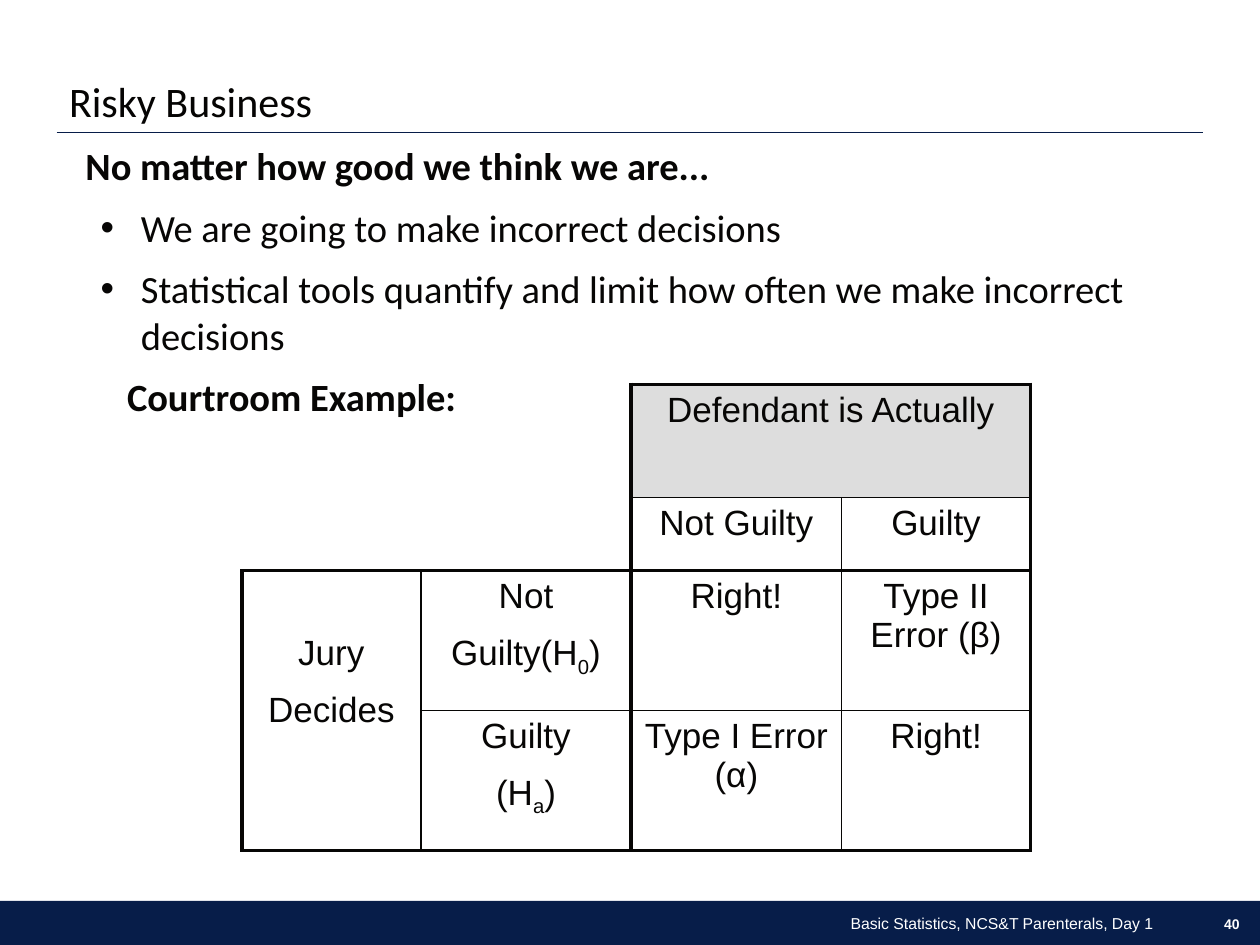
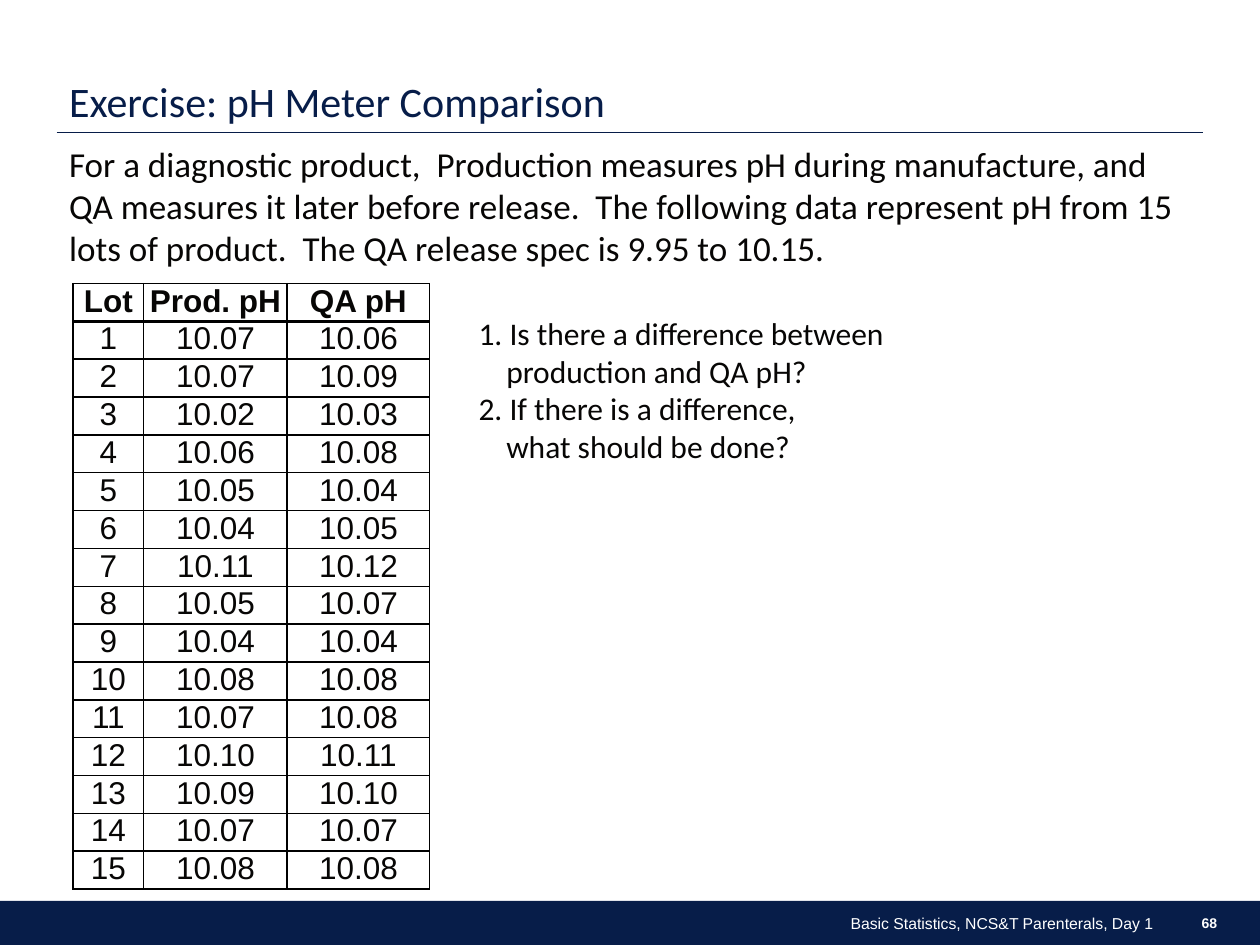
from lxml import etree
from pptx import Presentation
from pptx.dml.color import RGBColor
from pptx.enum.shapes import MSO_CONNECTOR, MSO_SHAPE
from pptx.enum.text import MSO_ANCHOR, PP_ALIGN
from pptx.oxml.ns import qn
from pptx.util import Inches, Pt

LEFT, CENTER, RIGHT = PP_ALIGN.LEFT, PP_ALIGN.CENTER, PP_ALIGN.RIGHT
TOP, MIDDLE, BOTTOM = MSO_ANCHOR.TOP, MSO_ANCHOR.MIDDLE, MSO_ANCHOR.BOTTOM
RECTANGLE, STRAIGHT = MSO_SHAPE.RECTANGLE, MSO_CONNECTOR.STRAIGHT

COLUMNS, ROWS = 100, 75  # the slide as a grid of tenths of an inch
NAVY, INK, BLACK, WHITE, GRAY = "071D49", "070605", "000000", "FFFFFF", "DDDDDD"
NO_STYLE = "{2D5ABB26-0587-4C30-8999-92F81FD0307C}"
FOOTER = "Basic Statistics, NCS&T Parenterals, Day 1"

TITLE = {"name": "Calibri", "size": 24}
BODY = {"name": "Calibri", "size": 22, "color": INK}
COURT = {"name": "Arial", "size": 20, "color": INK}
LOTS = {"name": "Arial", "size": 18, "color": INK}
SMALL = {"name": "Arial", "size": 9, "color": WHITE}

PRODUCTION_PH = ["10.07", "10.07", "10.02", "10.06", "10.05", "10.04", "10.11", "10.05",
                 "10.04", "10.08", "10.07", "10.10", "10.09", "10.07", "10.08"]
QA_PH = ["10.06", "10.09", "10.03", "10.08", "10.04", "10.05", "10.12", "10.07",
         "10.04", "10.08", "10.08", "10.11", "10.10", "10.07", "10.08"]


def grid(*steps):
    return [Inches(step / 10) for step in steps]


def rgb(color):
    return RGBColor.from_string(color)


def style_font(font, look):
    for key, value in look.items():
        if key == "color":
            font.color.rgb = rgb(value)
        else:
            setattr(font, key, Pt(value) if key == "size" else value)


def add_span(para, text, look, subscript=False):
    """Add text to a paragraph, with a line break for each newline."""
    for number, line in enumerate(text.split("\n")):
        if number:
            para.add_line_break()
        span = para.add_run()
        span.text = line
        style_font(span.font, look)
        if subscript:
            span.font._element.set("baseline", "-25000")


def indent(para, margin, first=0, bullet=None):
    properties = para._p.get_or_add_pPr()
    left, hang = grid(margin, first)
    properties.set("marL", str(left))
    properties.set("indent", str(hang))
    if bullet:
        etree.SubElement(properties, qn("a:buFont")).set("typeface", "Arial")
        etree.SubElement(properties, qn("a:buChar")).set("char", bullet)


def write(frame, paragraphs, look, align=LEFT, **spacing):
    """Fill a frame; "_" in front of a character lowers it."""
    for number, text in enumerate(paragraphs):
        para = frame.add_paragraph() if number else frame.paragraphs[0]
        para.alignment = align
        for key, value in spacing.items():
            setattr(para, key, value)
        start, *lowered = text.split("_")
        add_span(para, start, look)
        for part in lowered:
            add_span(para, part[0], look, subscript=True)
            add_span(para, part[1:], look)
    return frame.paragraphs


def add_frame(page, place, anchor=TOP, **margins):
    frame = page.shapes.add_textbox(*grid(*place)).text_frame
    frame.word_wrap = True
    frame.vertical_anchor = anchor
    for key, value in margins.items():
        setattr(frame, key, value)
    return frame


def add_page(deck, title, color, number, number_place):
    """Add a slide with title, rule and footer band."""
    page = deck.slides.add_slide(deck.slide_layouts[6])
    band = page.shapes.add_shape(RECTANGLE, *grid(0, 71.5, COLUMNS, 3.5))
    band.shadow.inherit = False
    band.fill.solid()
    band.fill.fore_color.rgb = rgb(NAVY)
    band.line.fill.background()

    rule = page.shapes.add_connector(STRAIGHT, *grid(4.5, 10.5, 95.5, 10.5))
    rule.line.color.rgb = rgb(NAVY)
    rule.line.width = Pt(0.75)
    etree.SubElement(rule._element.spPr, qn("a:effectLst"))

    write(add_frame(page, (4.5, 2.5, 91, 8), BOTTOM), [title],
          {**TITLE, "color": color}, line_spacing=0.9)
    write(add_frame(page, (32.5, 72.3, 60, 2), MIDDLE), [FOOTER], SMALL, RIGHT)
    write(add_frame(page, number_place, MIDDLE, margin_right=0), [number],
          {**SMALL, "size": 8, "bold": True}, RIGHT)
    return page


def add_plain_table(page, left, top, widths, heights):
    shape = page.shapes.add_table(len(heights), len(widths),
                                  *grid(left, top, sum(widths), sum(heights)))
    table = shape.table
    table.first_row = table.horz_banding = False
    table._tbl.tblPr.find(qn("a:tableStyleId")).text = NO_STYLE
    for column, width in zip(table.columns, grid(*widths)):
        column.width = width
    for row, height in zip(table.rows, grid(*heights)):
        row.height = height
    return table


def set_fill(cell, color=None):
    if color:
        cell.fill.solid()
        cell.fill.fore_color.rgb = rgb(color)
    else:
        cell.fill.background()


def set_borders(cell, widths, color):
    """Draw the left, right, top and bottom edges; None leaves one out."""
    properties = cell._tc.get_or_add_tcPr()
    for place, (side, width) in enumerate(zip("LRTB", widths)):
        edge = etree.Element(qn(f"a:ln{side}"))
        if width:
            edge.set("w", str(Pt(width)))
            paint = etree.SubElement(edge, qn("a:solidFill"))
            etree.SubElement(paint, qn("a:srgbClr")).set("val", color)
        else:
            etree.SubElement(edge, qn("a:noFill"))
        properties.insert(place, edge)


def add_verdict_table(page):
    table = add_plain_table(page, 19.2, 30.5, [14.2, 16.7, 16.7, 15],
                            [9, 5.8, 11.1, 11.1])
    table.cell(0, 2).merge(table.cell(0, 3))
    table.cell(2, 0).merge(table.cell(3, 0))
    verdicts = {
        (0, 2): ["Defendant is Actually"],
        (1, 2): ["Not Guilty"],
        (1, 3): ["Guilty"],
        (2, 0): ["Jury", "Decides"],
        (2, 1): ["Not", "Guilty(H_0)"],
        (2, 2): ["Right!"],
        (2, 3): ["Type II Error (β)"],
        (3, 1): ["Guilty", "(H_a)"],
        (3, 2): ["Type I Error (α)"],
        (3, 3): ["Right!"],
    }
    for row in range(4):
        for column in range(4):
            cell = table.cell(row, column)
            set_fill(cell, GRAY if row == 0 and column > 1 else None)
            lines = [column, column + 1, row, row + 1]
            if row == 0 and column > 1:
                lines[:2] = 2, 4
            if column == 0 and row > 1:
                lines[2:] = 2, 4
            widths = [1 if line % 2 else 2.25 for line in lines]
            if row < 2 and column < 2:
                widths = [2.25 if line == 2 else None for line in lines]
            set_borders(cell, widths, INK)
            if (row, column) in verdicts:
                write(cell.text_frame, verdicts[row, column], COURT, CENTER,
                      space_after=Pt(10))
    table.cell(2, 0).margin_top = Inches(0.5)


def add_lot_table(page):
    lots = [(str(lot), *pair) for lot, pair in enumerate(zip(PRODUCTION_PH, QA_PH), 1)]
    records = [("Lot", "Prod. pH", "QA pH"), *lots]
    table = add_plain_table(page, 5.8, 22.5, [5.6, 11.4, 11.3], [3] * len(records))
    for row, record in enumerate(records):
        for column, value in enumerate(record):
            cell = table.cell(row, column)
            for side in ("left", "right", "top", "bottom"):
                setattr(cell, f"margin_{side}", 0)
            set_fill(cell)
            set_borders(cell, (1, 1, 2 if row == 1 else 1, 2 if row == 0 else 1), BLACK)
            write(cell.text_frame, [value], {**LOTS, "bold": row == 0}, CENTER)


def add_risk_page(deck):
    page = add_page(deck, "Risky Business", "050403", "40", (92.8, 72.5, 5.6, 1.6))
    paras = write(add_frame(page, (5.8, 10.8, 90.1, 59.2)), [
        "No matter how good we think we are...",
        "We are going to make incorrect decisions",
        "Statistical tools quantify and limit how often we make incorrect decisions",
        "Courtroom Example:",
    ], BODY)
    for para in paras[1:3]:
        indent(para, 4.4, -3.2, "•")
    indent(paras[3], 3.3)
    for para in paras[1:]:
        para.space_before = Pt(8.8)
    for para in (paras[0], paras[3]):
        para.runs[0].font.bold = True
    add_verdict_table(page)


def add_exercise_page(deck):
    page = add_page(deck, "Exercise: pH Meter Comparison", NAVY, "68",
                    (93.5, 72.2, 3.1, 2.1))
    paras = write(add_frame(page, (4.5, 10.8, 91, 54.5)), [
        "For a diagnostic product,  Production measures pH during manufacture, and QA "
        "measures it later before release.  The following data represent pH from 15 lots "
        "of product.  The QA release spec is 9.95 to 10.15.",
        "1. Is there a difference between\nproduction and QA pH?",
        "2. If there is a difference,\nwhat should be done?",
    ], {**BODY, "size": 20})
    for question in paras[1:]:
        indent(question, 34.7, -2.2)
        for span in question.runs:
            span.font.size = Pt(18)
    paras[1].space_before = Pt(26)
    add_lot_table(page)


def main():
    deck = Presentation()
    deck.slide_width, deck.slide_height = grid(COLUMNS, ROWS)
    add_risk_page(deck)
    add_exercise_page(deck)
    deck.save("out.pptx")


if __name__ == "__main__":
    main()
